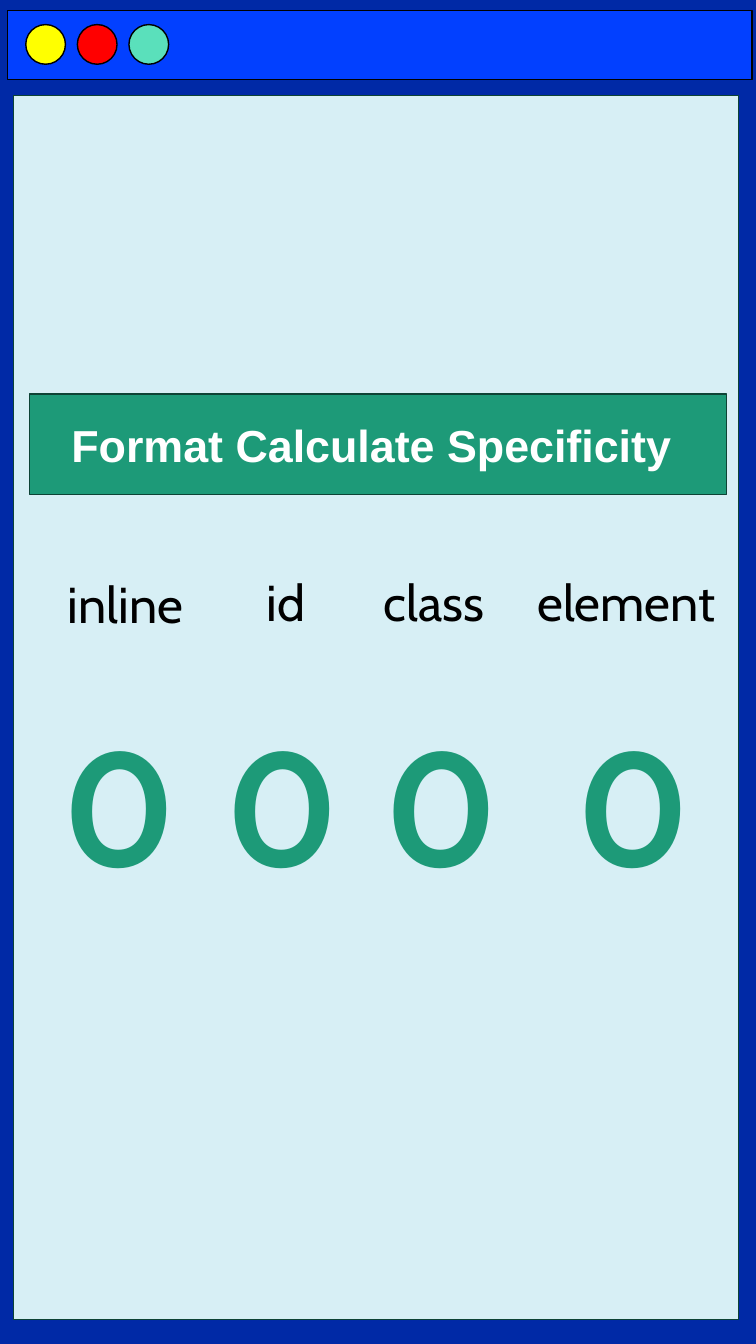
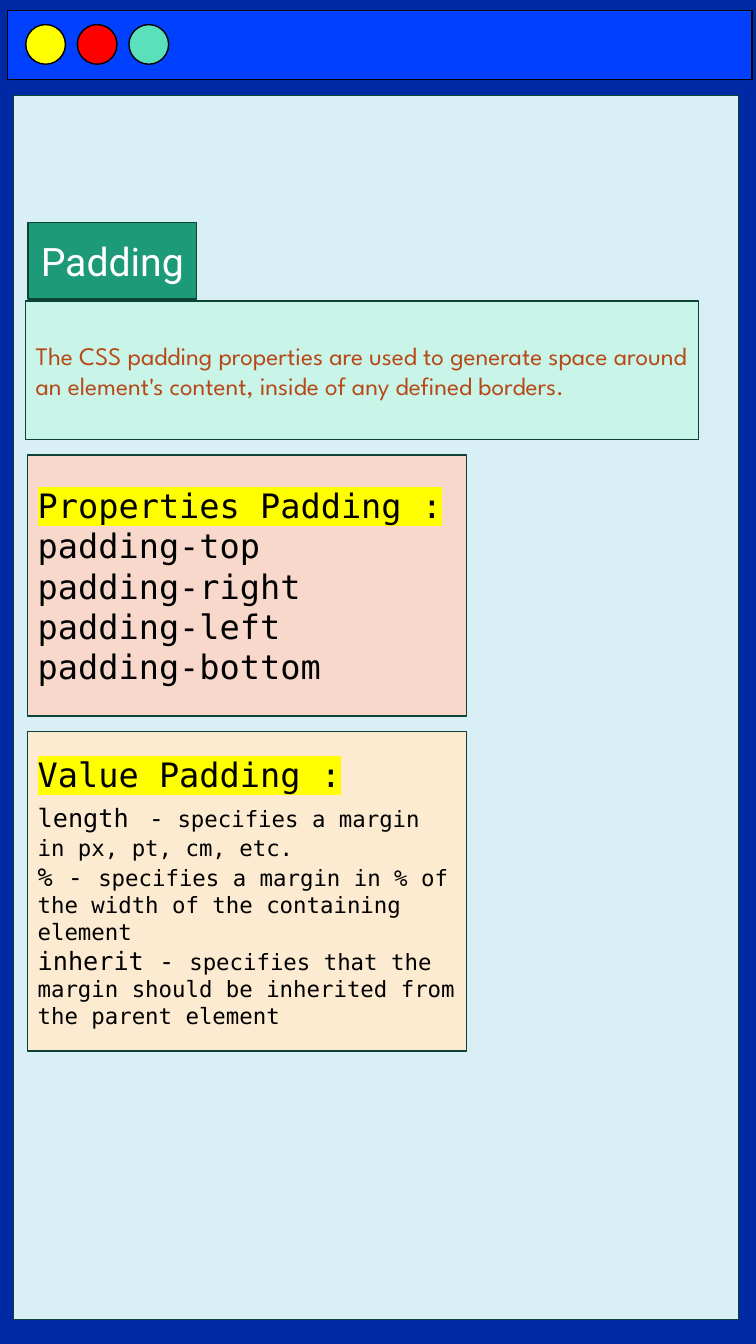
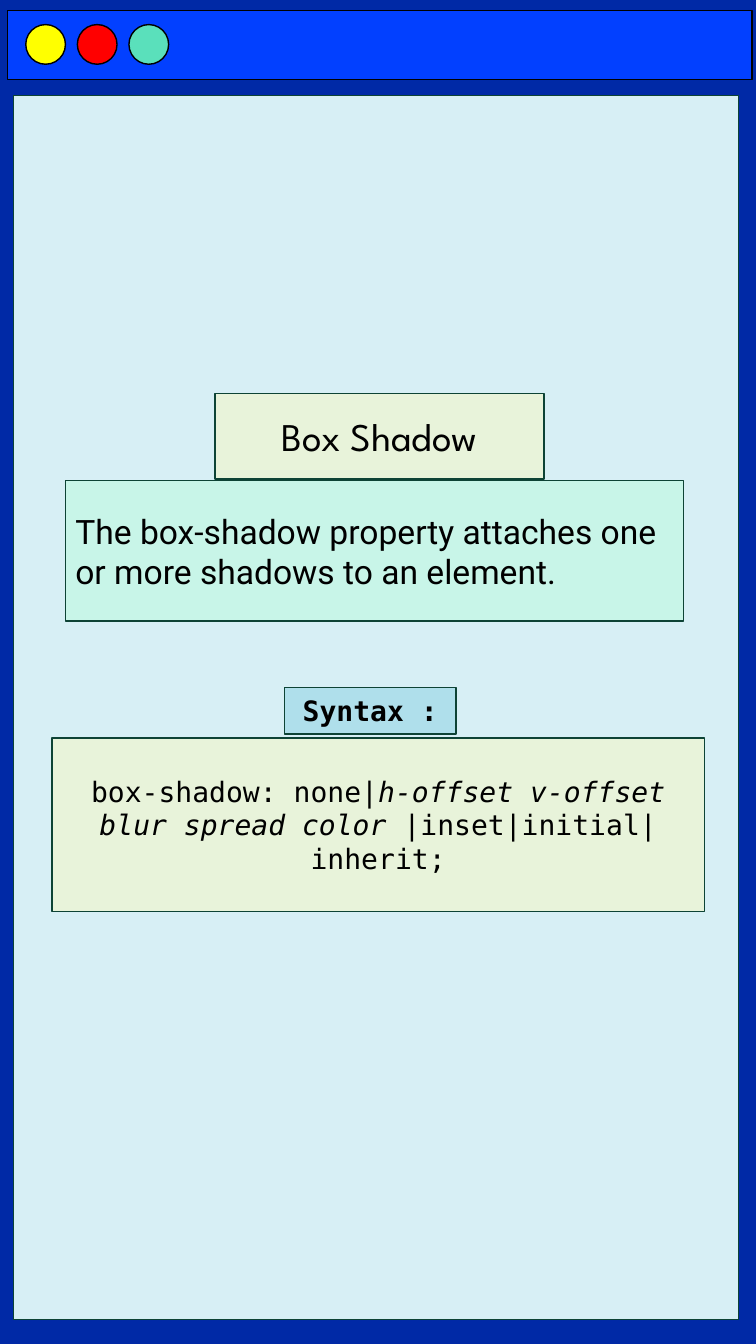
"""Build three portrait CSS lesson slides framed as a browser window."""
from dataclasses import dataclass
from typing import Any, NamedTuple, Optional

import pptx
import pptx.dml.color
import pptx.enum.shapes
import pptx.enum.text
import pptx.oxml.ns
import pptx.util
from lxml import etree

Cm = pptx.util.Cm
Pt = pptx.util.Pt
MSO_SHAPE = pptx.enum.shapes.MSO_SHAPE
PP_ALIGN = pptx.enum.text.PP_ALIGN

COLORS = {
    "frame": "0029A6", "bar": "0240FF", "panel": "D7EFF5",
    "yellow": "FFFF00", "red": "FF0000", "turquoise": "5AE0BB",
    "green": "1D9A78", "outline": "0D4335", "mint": "C8F5E8",
    "peach": "F8D8CA", "cream": "FCEBD1", "lime": "E8F3DA",
    "sky": "AFDFEB", "rust": "B74919", "black": "000000", "white": "FFFFFF",
}
MONO = "DejaVu Sans Mono"
SPARTAN = "League Spartan"


class Area(NamedTuple):
    left: float
    top: float
    width: float
    height: float


class Run(NamedTuple):
    text: str
    size: Optional[int] = None
    italic: Optional[bool] = None
    highlight: Optional[str] = None


class Column(NamedTuple):
    label: str
    label_left: float
    label_top: float
    label_width: float
    digit_left: float


@dataclass(frozen=True)
class Box:
    area: Area
    paragraphs: tuple[tuple[Run, ...], ...]
    font: str
    size: int
    color: str = "black"
    fill: Optional[str] = None
    bold: bool = False
    centered: bool = True


COLUMNS = (
    Column("inline", 1.05, 13.94, 4.22, 0.89),
    Column("id", 5.99, 13.89, 2.44, 5.0),
    Column("class", 8.89, 13.89, 4.09, 9.01),
    Column("element", 12.94, 13.89, 5.69, 13.84),
)


def rgb(name: str) -> pptx.dml.color.RGBColor:
    """Return the named colour."""
    return pptx.dml.color.RGBColor.from_string(COLORS[name])


def one(text: str) -> tuple[tuple[Run, ...], ...]:
    """Return a single paragraph of plain text."""
    return ((Run(text),),)


def add_shape(shapes: Any, kind: Any, area: Area, fill: str, line: str) -> Any:
    """Add a filled and outlined shape without a shadow."""
    sp = shapes.add_shape(kind, *map(Cm, area))
    sp.shadow.inherit = False
    sp.fill.solid()
    sp.fill.fore_color.rgb = rgb(fill)
    sp.line.color.rgb = rgb(line)
    sp.line.width = Pt(1)
    return sp


def add_run(p: Any, run: Run) -> None:
    """Add one run, turning newlines into line breaks."""
    for i, text in enumerate(run.text.split("\n")):
        if i:
            p.add_line_break()
        if not text:
            continue
        r = p.add_run()
        r.text = text
        if run.size:
            r.font.size = Pt(run.size)
        if run.italic:
            r.font.italic = True
        if run.highlight:
            qn = pptx.oxml.ns.qn
            mark = etree.SubElement(r._r.get_or_add_rPr(), qn("a:highlight"))
            etree.SubElement(mark, qn("a:srgbClr"), val=COLORS[run.highlight])


def add_box(shapes: Any, box: Box) -> None:
    """Draw a text box, or a filled rectangle when the box has a fill."""
    if box.fill:
        sp = add_shape(shapes, MSO_SHAPE.RECTANGLE, box.area, box.fill, "outline")
    else:
        sp = shapes.add_textbox(*map(Cm, box.area))
    tf = sp.text_frame
    tf.word_wrap = True
    tf.vertical_anchor = pptx.enum.text.MSO_ANCHOR.MIDDLE
    for i, runs in enumerate(box.paragraphs):
        p = tf.add_paragraph() if i else tf.paragraphs[0]
        p.alignment = PP_ALIGN.CENTER if box.centered else PP_ALIGN.LEFT
        p.font.name = box.font
        p.font.size = Pt(box.size)
        p.font.bold = box.bold
        p.font.color.rgb = rgb(box.color)
        for run in runs:
            add_run(p, run)


def add_window(s: Any) -> None:
    """Draw the browser window shared by all slides."""
    s.background.fill.solid()
    s.background.fill.fore_color.rgb = rgb("frame")
    bar = s.shapes.add_group_shape().shapes
    add_shape(bar, MSO_SHAPE.RECTANGLE, Area(0.19, 0.26, 18.76, 1.74), "bar", "black")
    for i, color in enumerate(("yellow", "red", "turquoise")):
        area = Area(0.65 + 1.3 * i, 0.62, 1, 1)
        add_shape(bar, MSO_SHAPE.OVAL, area, color, "black")
    panel = Area(0.34, 2.4, 18.27, 30.85)
    add_shape(s.shapes, MSO_SHAPE.RECTANGLE, panel, "panel", "outline")


def specificity_groups() -> list[list[Box]]:
    """Return the digits as one group, then the labels and the title."""
    digits = [Box(Area(c.digit_left, 18.38, 4.22, 3.66), one("0"), "Cabin", 115,
                  "green", bold=True) for c in COLUMNS]
    labels = [[Box(Area(c.label_left, c.label_top, c.label_width, 2.54),
                   one(c.label), "Cabin", 36)] for c in reversed(COLUMNS)]
    title = Box(Area(0.74, 9.93, 17.57, 2.54), one("Format Calculate Specificity "),
                "Arial", 32, "white", "green", bold=True)
    return [digits, *labels, [title]]


def padding_groups() -> list[list[Box]]:
    """Return the padding definition, properties and values."""
    properties = (
        (Run("Properties Padding :\n", highlight="yellow"),
         Run("padding-top\npadding-right\npadding-left")),
        (Run("padding-bottom"),),
    )
    values = (
        (Run("Value Padding :\n", 24, highlight="yellow"),
         Run("length"), Run(" ", 24), Run("-"),
         Run(" specifies a margin in px, pt, cm, etc.\n", 16),
         Run("%", italic=True), Run(" - "),
         Run("specifies a margin in % of the width of the containing element", 16)),
        (Run("inherit - "),
         Run("specifies that the margin should be inherited from the parent element", 16)),
    )
    definition = ("The CSS padding properties are used to generate space around "
                  "an element's content, inside of any defined borders.")
    return [
        [Box(Area(0.71, 5.61, 4.24, 1.93), one("Padding"), "Roboto", 28, "white", "green"),
         Box(Area(0.65, 7.59, 16.95, 3.49), one(definition), SPARTAN, 18, "rust", "mint",
             centered=False)],
        [Box(Area(0.7, 11.47, 11.05, 6.58), properties, MONO, 24, fill="peach",
             centered=False)],
        [Box(Area(0.7, 18.44, 11.05, 8.05), values, MONO, 18, fill="cream",
             centered=False)],
    ]


def shadow_groups() -> list[list[Box]]:
    """Return the box-shadow definition and syntax."""
    syntax = ((Run("box-shadow: none|"),
               Run("h-offset v-offset blur spread color ", italic=True),
               Run("|inset|initial|inherit;")),)
    definition = "The box-shadow property attaches one or more shadows to an element."
    return [
        [Box(Area(5.42, 9.91, 8.29, 2.16), one("Box Shadow"), SPARTAN, 28, fill="lime"),
         Box(Area(1.65, 12.11, 15.57, 3.54), one(definition), "Roboto", 24, fill="mint",
             centered=False)],
        [Box(Area(7.17, 17.32, 4.32, 1.18), one("Syntax :"), MONO, 20, fill="sky",
             bold=True),
         Box(Area(1.31, 18.6, 16.44, 4.37), syntax, MONO, 20, fill="lime")],
    ]


def main() -> None:
    """Build and save the presentation."""
    prs = pptx.Presentation()
    prs.slide_width = Cm(19.05)
    prs.slide_height = Cm(33.87)
    for groups in (specificity_groups(), padding_groups(), shadow_groups()):
        s = prs.slides.add_slide(prs.slide_layouts[6])
        add_window(s)
        for boxes in groups:
            shapes = s.shapes.add_group_shape().shapes if len(boxes) > 1 else s.shapes
            for box in boxes:
                add_box(shapes, box)
    prs.save("out.pptx")


if __name__ == "__main__":
    main()
